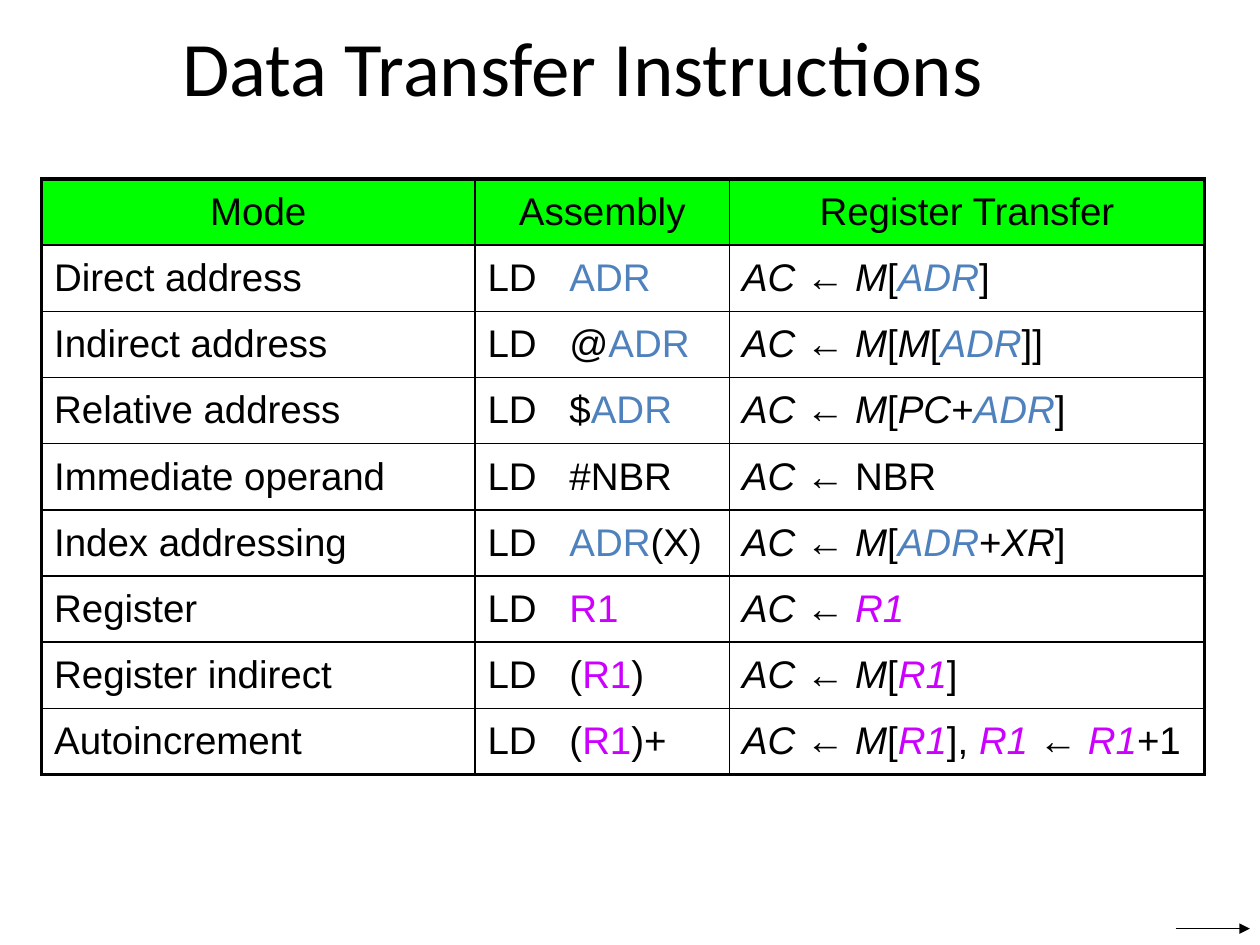
from itertools import groupby

from lxml.etree import SubElement
from pptx import Presentation
from pptx.dml.color import RGBColor
from pptx.enum.shapes import MSO_CONNECTOR as CONN
from pptx.enum.text import MSO_ANCHOR as ANCHOR, PP_ALIGN as ALIGN
from pptx.oxml.ns import qn
from pptx.util import Inches, Pt

BLACK, GREEN, BLUE, PURPLE = "000000", "00FF00", "4F81BD", "CC00FF"
WORD_COLORS = {"ADR": BLUE, "R1": PURPLE}
REGISTERS = {"AC", "M", "PC", "XR", "ADR", "R1"}
TITLE_FONT = {"name": "Calibri", "size": Pt(44)}
CELL_FONT = {"name": "Arial", "size": Pt(22)}
NO_MARGINS = dict.fromkeys(
    ("margin_left", "margin_top", "margin_right", "margin_bottom"), 0)
COL_WIDTHS = (3.44, 2.02, 3.77)
ROWS = (
    ("Mode", "Assembly", "Register Transfer"),
    ("Direct address", "LD\tADR", "AC ← M[ADR]"),
    ("Indirect address", "LD\t@ADR", "AC ← M[M[ADR]]"),
    ("Relative address", "LD\t$ADR", "AC ← M[PC+ADR]"),
    ("Immediate operand", "LD\t#NBR", "AC ← NBR"),
    ("Index addressing", "LD\tADR(X)", "AC ← M[ADR+XR]"),
    ("Register", "LD\tR1", "AC ← R1"),
    ("Register indirect", "LD\t(R1)", "AC ← M[R1]"),
    ("Autoincrement", "LD\t(R1)+", "AC ← M[R1], R1 ← R1+1"),
)


def rgb(color):
    """Turn a hex string into a colour."""
    return RGBColor.from_string(color)


def set_attrs(obj, values):
    """Set attributes from a dict of format values."""
    for name, value in values.items():
        setattr(obj, name, value)


def add_run(p, text, font, color=BLACK, italic=False):
    """Add a formatted run to a paragraph."""
    r = p.add_run()
    r.text = text
    set_attrs(r.font, {**font, "italic": italic})
    r.font.color.rgb = rgb(color)


def add_tab(p, pos):
    """Add a left tab stop to a paragraph."""
    tabs = SubElement(p._p.get_or_add_pPr(), qn("a:tabLst"))
    SubElement(tabs, qn("a:tab"), pos=str(Inches(pos)), algn="l")


def add_border(cell, side, width):
    """Draw one black border of a cell."""
    ln = SubElement(cell._tc.get_or_add_tcPr(), qn(f"a:ln{side}"), w=str(Pt(width)))
    SubElement(SubElement(ln, qn("a:solidFill")), qn("a:srgbClr"), val=BLACK)


def add_title(s, x, y, w, h):
    """Place the centred slide title."""
    tf = s.shapes.add_textbox(Inches(x), Inches(y), Inches(w), Inches(h)).text_frame
    set_attrs(tf, {**NO_MARGINS, "word_wrap": True, "vertical_anchor": ANCHOR.MIDDLE})
    p = tf.paragraphs[0]
    p.alignment = ALIGN.CENTER
    add_run(p, "Data Transfer Instructions", TITLE_FONT)


def fill_cell(cell, text, row, col):
    """Write, border and fill one table cell."""
    header = row == 0
    outer = {"L": col == 0, "R": col == len(COL_WIDTHS) - 1,
             "T": header, "B": row == len(ROWS) - 1}
    for side, is_outer in outer.items():
        add_border(cell, side, 2.25 if is_outer else 1)
    set_attrs(cell, {**NO_MARGINS, "vertical_anchor": ANCHOR.MIDDLE})
    p = cell.text_frame.paragraphs[0]
    if header:
        cell.fill.solid()
        cell.fill.fore_color.rgb = rgb(GREEN)
        p.alignment = ALIGN.CENTER
        add_run(p, text, CELL_FONT)
        return
    cell.fill.background()
    cell.margin_left = Inches(0.1)
    p.alignment = ALIGN.LEFT
    if col == 0:
        add_run(p, text, CELL_FONT)
        return
    if col == 1:
        add_tab(p, 0.65)
    for _, chars in groupby(text, str.isalnum):
        word = "".join(chars)
        add_run(p, word, CELL_FONT, WORD_COLORS.get(word, BLACK),
                col == 2 and word in REGISTERS)


def add_modes_table(s, x, y, w, h):
    """Place the table of addressing modes."""
    table = s.shapes.add_table(len(ROWS), len(COL_WIDTHS), Inches(x), Inches(y),
                               Inches(w), Inches(h)).table
    set_attrs(table, {"first_row": False, "horz_banding": False})
    for column, width in zip(table.columns, COL_WIDTHS):
        column.width = Inches(width)
    for row, texts in enumerate(ROWS):
        table.rows[row].height = Inches(h / len(ROWS))
        for col, text in enumerate(texts):
            fill_cell(table.cell(row, col), text, row, col)


def add_arrow(s, x, y, w):
    """Place the horizontal arrow in the corner."""
    line = s.shapes.add_connector(CONN.STRAIGHT, Inches(x), Inches(y),
                                  Inches(x + w), Inches(y))
    line.line.width = Pt(0.75)
    line.line.color.rgb = rgb(BLACK)
    SubElement(line.line._get_or_add_ln(), qn("a:tailEnd"), type="triangle")
    SubElement(line._element.spPr, qn("a:effectLst"))


def main():
    """Build and save the slide."""
    prs = Presentation()
    set_attrs(prs, {"slide_width": Inches(10), "slide_height": Inches(7.5)})
    s = prs.slides.add_slide(prs.slide_layouts[6])
    add_title(s, 0.5, 0.13, 8.25, 0.78)
    add_modes_table(s, 0.33, 1.42, sum(COL_WIDTHS), 4.73)
    add_arrow(s, 9.33, 7.37, 0.59)
    prs.save("out.pptx")


if __name__ == "__main__":
    main()
